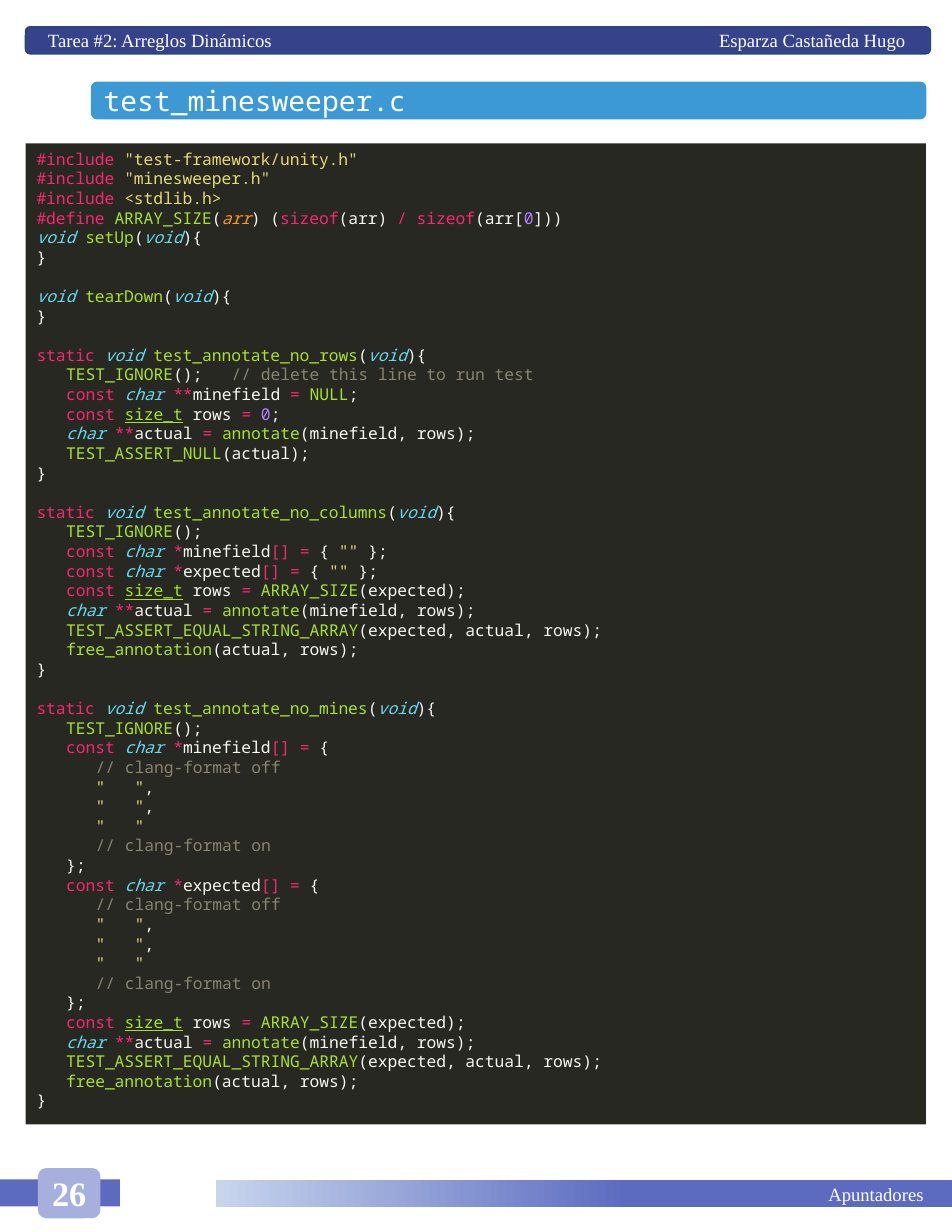
from dataclasses import dataclass

from lxml.etree import SubElement
from pptx import Presentation
from pptx.dml.color import RGBColor
from pptx.enum.shapes import MSO_SHAPE
from pptx.enum.text import MSO_ANCHOR, PP_ALIGN
from pptx.oxml.ns import qn
from pptx.util import Cm, Pt


@dataclass(frozen=True)
class Theme:
    """Colours, fonts and type sizes."""
    white: str = "FFFFFF"
    navy: str = "36428A"
    edge: str = "28457A"
    sky: str = "3C99D4"
    dark: str = "272822"
    indigo: str = "5C6BC0"
    pale: str = "C7D5ED"
    lilac: str = "A7AFDD"
    mono: str = "Noto Sans Mono"
    serif: str = "Times New Roman"
    title: float = 18
    code: float = 10.5
    line: float = 12.6
    small: float = 12
    page: float = 22


THEME = Theme()

# Style letter: colour, italic, underline
STYLES = {
    "w": ("F8F8F2", False, False),  # plain
    "k": ("F92672", False, False),  # keyword
    "s": ("E6DB74", False, False),  # string
    "f": ("A6E22E", False, False),  # function
    "t": ("66D9EF", True, False),   # type
    "a": ("FD971F", True, False),   # argument
    "n": ("AE81FF", False, False),  # number
    "c": ("88846F", False, False),  # comment
    "u": ("A6E22E", False, True),   # type name
}

# A line is (indent level, pieces); each piece starts with its style letter.
ROWS = "kconst |usize_t|w rows |k= "
SIZE = (1, ROWS + "|fARRAY_SIZE|w(expected);")
CALL = (1, "tchar |k**|wactual |k= |fannotate|w(minefield, rows);")
SKIP = "fTEST_IGNORE|w();"
END = (0, "w}")
CHECK = [
    SIZE,
    CALL,
    (1, "fTEST_ASSERT_EQUAL_STRING_ARRAY|w(expected, actual, rows);"),
    (1, "ffree_annotation|w(actual, rows);"),
    END,
]


def start(name, lead=""):
    """Return the first line of a C function."""
    return 0, f"{lead}tvoid |f{name}|w(|tvoid|w){{"


def test(name):
    """Return the first line of a static test."""
    return start(f"test_annotate_{name}", "kstatic |")


def array(name, tail):
    """Return the line that declares a string array."""
    return 1, f"kconst |tchar |k*|w{name}|k[] =|w {{{tail}"


def grid(name):
    """Return the lines of an array of three blank rows."""
    row = 's" \u00a0 "'
    return [array(name, ""), (2, "c// clang-format off"),
            (2, row + "|w,"), (2, row + "|w,"), (2, row),
            (2, "c// clang-format on"), (1, "w};")]


# Blocks of code, set apart by one line
BLOCKS = [
    [(0, 'k#include |s"test-framework/unity.h"'),
     (0, 'k#include |s"minesweeper.h"'),
     (0, "k#include |s<stdlib.h>"),
     (0, "k#define |fARRAY_SIZE|w(|aarr|w) (|ksizeof|w(arr) |k/ sizeof"
         "|w(arr[|n0|w]))"),
     start("setUp"), END],
    [start("tearDown"), END],
    [test("no_rows"),
     (1, SKIP + "|c \u00a0 // delete this line to run test"),
     (1, "kconst |tchar |k**|wminefield |k= |fNULL|w;"),
     (1, ROWS + "|n0|w;"),
     CALL, (1, "fTEST_ASSERT_NULL|w(actual);"), END],
    [test("no_columns"), (1, SKIP),
     array("minefield", ' |s""|w };'), array("expected", ' |s""|w };'),
     *CHECK],
    [test("no_mines"), (1, SKIP),
     *grid("minefield"), *grid("expected"), *CHECK],
]


def color(code):
    """Turn a hex code into a colour."""
    return RGBColor.from_string(code)


def add_text(para, text, *, size, font, tint=THEME.white,
             bold=False, slant=False, under=False):
    """Add one run of text in the given format."""
    run = para.add_run()
    run.text = text
    face = run.font
    face.size, face.name = Pt(size), font
    face.bold, face.italic, face.underline = bold, slant, under
    face.color.rgb = color(tint)


def add_box(slide, kind, left, top, width, height, fill, edge=None):
    """Add a preset shape; lengths are in centimetres."""
    box = slide.shapes.add_shape(
        kind, Cm(left), Cm(top), Cm(width), Cm(height))
    box.shadow.inherit = False
    box.fill.solid()
    box.fill.fore_color.rgb = color(fill)
    if edge:
        box.line.color.rgb = color(edge)
        box.line.width = Pt(1)
    else:
        box.line.fill.background()
    return box


def get_para(box, align=PP_ALIGN.LEFT):
    """Return the first paragraph of a box, set to the middle."""
    frame = box.text_frame
    frame.word_wrap = True
    frame.vertical_anchor = MSO_ANCHOR.MIDDLE
    para = frame.paragraphs[0]
    para.alignment = align
    return para


def add_tab(para, place):
    """Add a right tab stop at a place in centimetres."""
    stops = SubElement(para._p.get_or_add_pPr(), qn("a:tabLst"))
    SubElement(stops, qn("a:tab"), pos=str(Cm(place)), algn="r")


def add_code(box):
    """Fill a box with the coloured lines of code."""
    frame = box.text_frame
    frame.word_wrap = True
    frame.vertical_anchor = MSO_ANCHOR.TOP
    para = frame.paragraphs[0]
    for block in BLOCKS:
        for row, (level, line) in enumerate(block):
            if block is not BLOCKS[0] or row:
                para = frame.add_paragraph()
            para.alignment = PP_ALIGN.LEFT
            para.line_spacing = Pt(THEME.line)
            gap = row == 0 and block is not BLOCKS[0]
            para.space_before = Pt(THEME.line if gap else 0)
            props = para._p.get_or_add_pPr()
            props.set("marL", str(Cm(0.67 * level)))
            props.set("indent", "0")
            for piece in line.split("|"):
                tint, slant, under = STYLES[piece[0]]
                add_text(para, piece[1:], size=THEME.code, font=THEME.mono,
                         tint=tint, slant=slant, under=under)


def add_fade(box):
    """Give a box a fade from right to left."""
    box.fill.gradient()
    box.fill.gradient_angle = 180
    marks = ((0.44, THEME.indigo), (1, THEME.pale))
    for stop, (place, tint) in zip(box.fill.gradient_stops, marks):
        stop.position = place
        stop.color.rgb = color(tint)


def main():
    """Build the page and save it."""
    deck = Presentation()
    deck.slide_width, deck.slide_height = Cm(21.59), Cm(27.94)
    slide = deck.slides.add_slide(deck.slide_layouts[6])
    rect, pill = MSO_SHAPE.RECTANGLE, MSO_SHAPE.ROUNDED_RECTANGLE

    title = add_box(slide, pill, 2.06, 1.85, 18.95, 0.86, THEME.sky)
    add_text(get_para(title), "test_minesweeper.c",
             size=THEME.title, font=THEME.mono)
    add_code(add_box(slide, rect, 0.58, 3.25, 20.42, 22.25, THEME.dark))

    head = add_box(slide, pill, 0.58, 0.61, 20.52, 0.61,
                   THEME.navy, THEME.edge)
    head.text_frame.margin_left = Cm(0.48)
    para = get_para(head)
    add_tab(para, 19.45)
    add_text(para, "Tarea #2: Arreglos Dinámicos\tEsparza Castañeda Hugo",
             size=THEME.small, font=THEME.serif)

    foot = add_box(slide, rect, 4.9, 26.77, 16.69, 0.61, THEME.indigo)
    add_fade(foot)
    foot.text_frame.margin_right = Cm(0.64)
    add_text(get_para(foot, PP_ALIGN.RIGHT), "Apuntadores",
             size=THEME.small, font=THEME.serif)
    add_box(slide, rect, 0, 26.75, 2.72, 0.61, THEME.indigo)
    badge = add_box(slide, pill, 0.86, 26.49, 1.42, 1.14, THEME.lilac)
    add_text(get_para(badge, PP_ALIGN.CENTER), "26",
             size=THEME.page, font=THEME.serif, bold=True)
    deck.save("out.pptx")


main()
